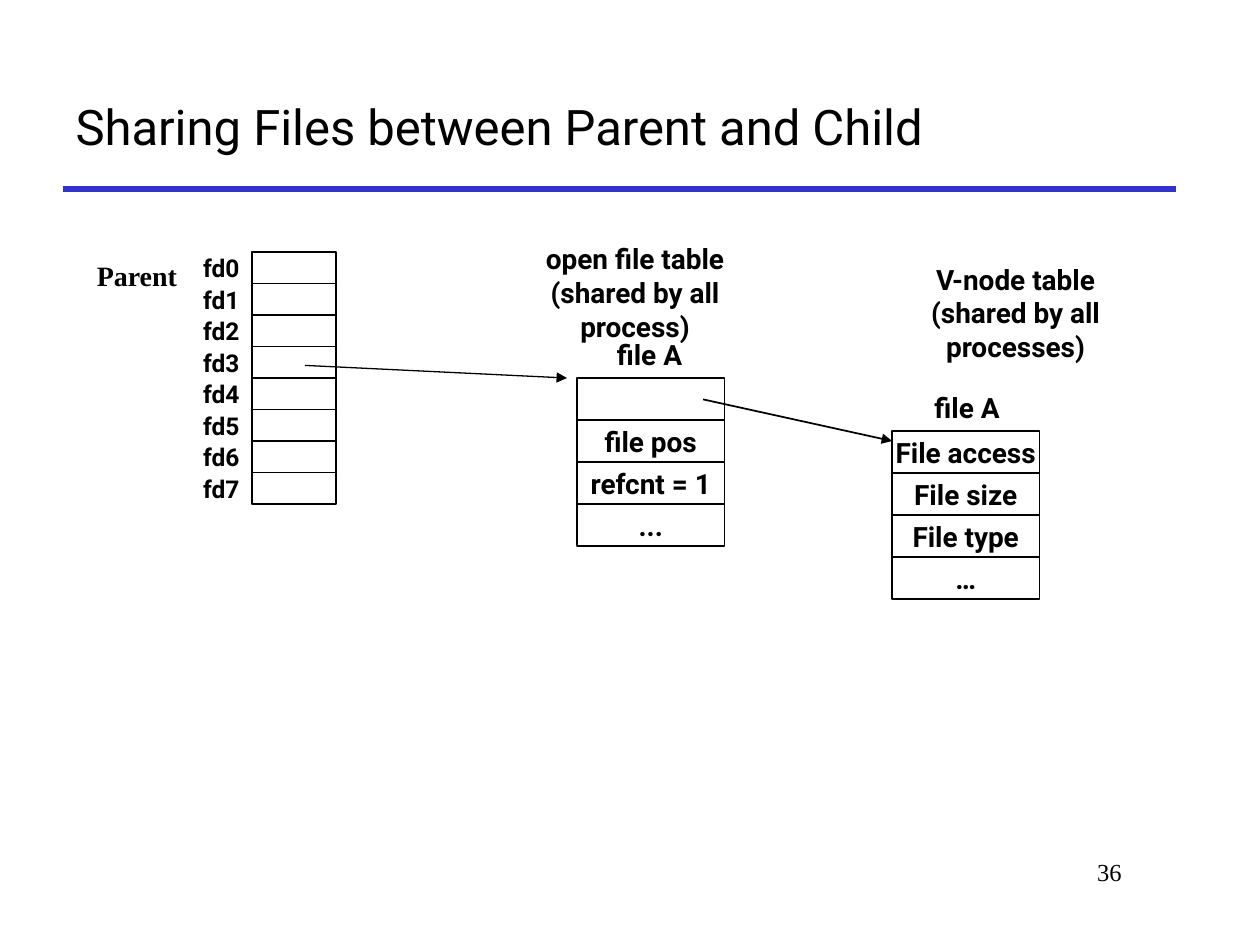
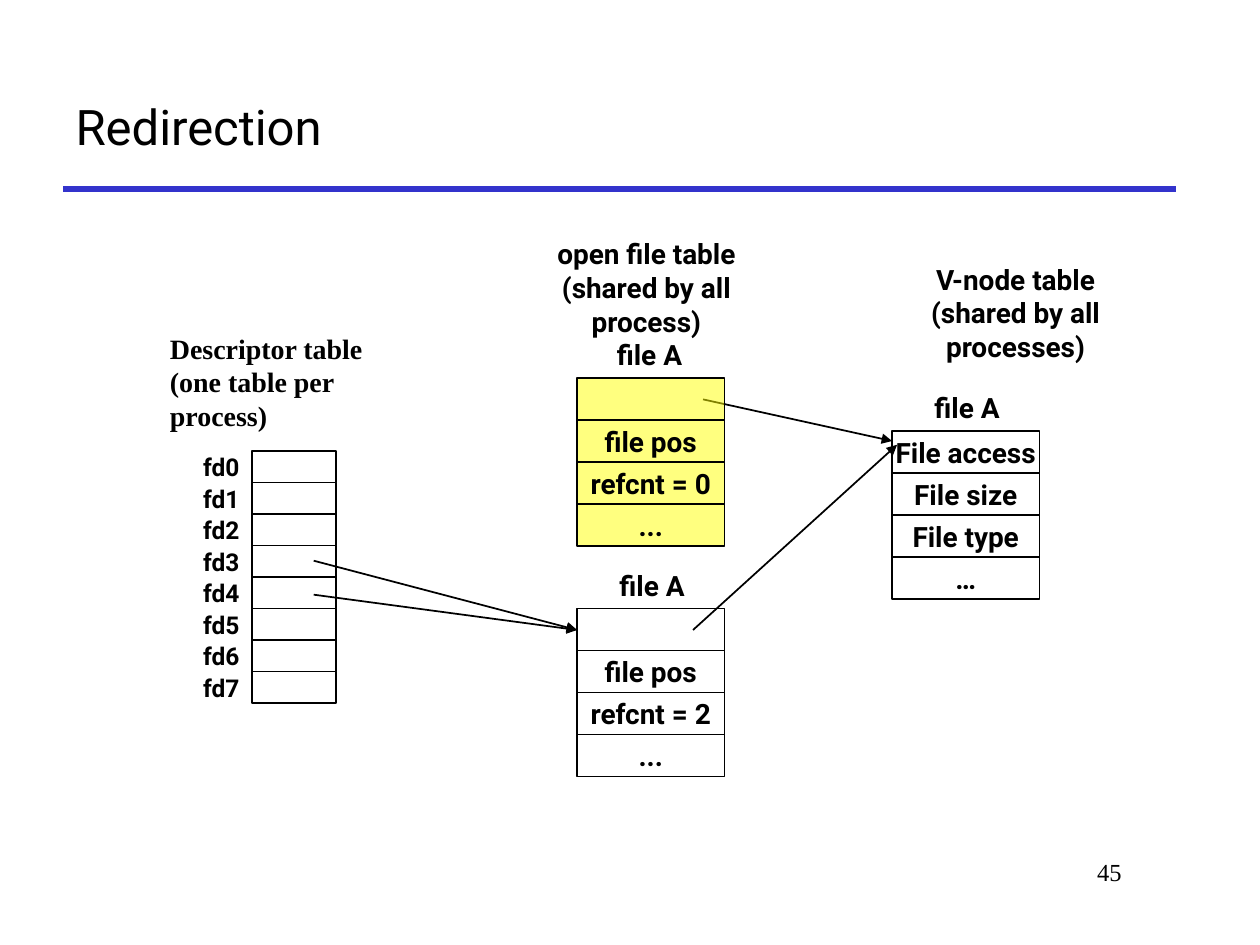
import dataclasses

import pptx
import pptx.dml.color
import pptx.enum.shapes
import pptx.enum.text
import pptx.oxml
import pptx.oxml.ns
import pptx.util

Inches = pptx.util.Inches
Align = pptx.enum.text.PP_ALIGN
Anchor = pptx.enum.text.MSO_ANCHOR


@dataclasses.dataclass(frozen=True)
class Theme:
    ink: str = "000000"
    rule: str = "3333CC"
    stale: str = "FFFF00"
    paper: str = "FFFFFF"
    sans: str = "Roboto"
    serif: str = "Times New Roman"
    title_size: int = 28
    label_size: int = 16
    small_size: int = 14
    fill_opacity: int = 50
    thin: float = 0.75
    line: float = 1
    thick: float = 3


THEME = Theme()
CELL_WIDTH, CELL_HEIGHT = 1.17, 1 / 3
SLOT_WIDTH, SLOT_HEIGHT, SLOT_COUNT = 0.67, 0.25, 8
CAPTION_HEIGHT = 0.37
OPEN_FILE_LEFT, OPEN_FILE_TOP = 4.58, 3
VNODE_LEFT, VNODE_TOP = 7.08, 3.42


def rgb(value):
    return pptx.dml.color.RGBColor.from_string(value)


def add_element(parent, tag, **attributes):
    element = pptx.oxml.parse_xml(f"<a:{tag} {pptx.oxml.ns.nsdecls('a')}/>")
    for name, value in attributes.items():
        element.set(name, value)
    parent.append(element)


def write_text(shape, lines, size=THEME.label_size, font=THEME.sans, bold=True,
               align=Align.CENTER, anchor=Anchor.MIDDLE, wrap=True):
    frame = shape.text_frame
    frame.auto_size = pptx.enum.text.MSO_AUTO_SIZE.NONE
    frame.word_wrap = wrap
    frame.vertical_anchor = anchor
    frame.text = "\n".join(lines)
    for paragraph in frame.paragraphs:
        paragraph.alignment = align
        paragraph.font.name = font
        paragraph.font.size = pptx.util.Pt(size)
        paragraph.font.bold = bold
        paragraph.font.color.rgb = rgb(THEME.ink)


def add_label(slide, left, top, width, height, lines, **style):
    box = slide.shapes.add_textbox(Inches(left), Inches(top), Inches(width), Inches(height))
    write_text(box, lines, **style)


def add_cell(slide, left, top, width, height, text="", fill=None):
    cell = slide.shapes.add_shape(pptx.enum.shapes.MSO_SHAPE.RECTANGLE,
                                  Inches(left), Inches(top), Inches(width), Inches(height))
    cell.shadow.inherit = False
    cell.line.color.rgb = rgb(THEME.ink)
    cell.line.width = pptx.util.Pt(THEME.line)
    if fill:
        cell.fill.solid()
        cell.fill.fore_color.rgb = rgb(fill)
        color = cell.fill._xPr.find(".//" + pptx.oxml.ns.qn("a:srgbClr"))
        add_element(color, "alpha", val=str(THEME.fill_opacity * 1000))
    else:
        cell.fill.background()
    if text:
        write_text(cell, [text], wrap=False)


def add_line(slide, start, end, color=THEME.ink, weight=THEME.line, arrow=True):
    line = slide.shapes.add_connector(pptx.enum.shapes.MSO_CONNECTOR.STRAIGHT,
                                      *map(Inches, start + end))
    line.line.color.rgb = rgb(color)
    line.line.width = pptx.util.Pt(weight)
    if arrow:
        add_element(line.line._get_or_add_ln(), "tailEnd", type="triangle")
    add_element(line._element.spPr, "effectLst")


# Title, rule and page number shared by both slides
def add_diagram_slide(presentation, title_text, number):
    slide = presentation.slides.add_slide(presentation.slide_layouts[5])
    title = slide.shapes.title
    title.left, title.top, title.width, title.height = map(Inches, (0.5, 0.5, 8.83, 1))
    write_text(title, [title_text], size=THEME.title_size, bold=False, align=Align.LEFT)
    add_line(slide, (0.5, 1.5), (9.33, 1.5), THEME.rule, THEME.thick, arrow=False)
    add_label(slide, 7.58, 6.75, 1.42, 0.5, [str(number)], size=THEME.small_size,
              font=THEME.serif, bold=False, align=Align.RIGHT, anchor=Anchor.TOP)
    return slide


# Descriptor slots with their names on the left
def add_descriptor_table(slide, left, top):
    for index in range(SLOT_COUNT):
        slot_top = top + index * SLOT_HEIGHT
        add_cell(slide, left, slot_top, SLOT_WIDTH, SLOT_HEIGHT)
        add_label(slide, left - SLOT_WIDTH, slot_top, SLOT_WIDTH, SLOT_HEIGHT,
                  [f"fd{index}"], size=THEME.small_size, align=Align.RIGHT)


def add_descriptor_heading(slide, left, top, height, text):
    add_label(slide, left, top, 1.75, height, [text], font=THEME.serif,
              align=Align.LEFT, anchor=Anchor.TOP)


# Stack of record fields with the file name above it
def add_record(slide, left, top, fields, caption_offset, fill=None):
    add_label(slide, left + caption_offset, top - CAPTION_HEIGHT, 0.75, CAPTION_HEIGHT,
              ["file A"], wrap=False)
    for index, field in enumerate(fields):
        add_cell(slide, left, top + index * CELL_HEIGHT, CELL_WIDTH, CELL_HEIGHT, field, fill)


def add_open_file(slide, top, reference_count, caption_offset=0.2, fill=None):
    fields = ["", "file pos", f"refcnt = {reference_count}", "..."]
    add_record(slide, OPEN_FILE_LEFT, top, fields, caption_offset, fill)


def add_open_file_heading(slide, left, top):
    add_label(slide, left, top, 2.42, 0.9, ["open file table", "(shared by all process)"])


# V-node record, its heading and the arrow from the upper open file
def add_vnode_table(slide, left, top, fill=None):
    add_label(slide, left + 0.04, top - 1.39, 1.88, 0.9,
              ["V-node table", "(shared by all processes)"])
    add_record(slide, left, top, ["File access", "File size", "File type", "…"], 0.22, fill)
    add_line(slide, (OPEN_FILE_LEFT + 1, OPEN_FILE_TOP + 0.17), (left, top + 0.08))


def build_sharing_slide(presentation):
    slide = add_diagram_slide(presentation, "Sharing Files between Parent and Child", 36)
    add_open_file_heading(slide, 3.83, 1.87)
    add_vnode_table(slide, VNODE_LEFT, VNODE_TOP)
    add_open_file(slide, OPEN_FILE_TOP, 1)
    add_descriptor_heading(slide, 0.67, 2, 0.37, "Parent")
    add_descriptor_table(slide, 2, 2)
    add_line(slide, (2.42, 2.9), (4.5, 3), weight=THEME.thin)


def build_redirection_slide(presentation):
    slide = add_diagram_slide(presentation, "Redirection", 45)
    add_descriptor_heading(slide, 1.25, 2.58, 0.9, "Descriptor table (one table per process)")
    add_descriptor_table(slide, 2, 3.58)
    add_open_file_heading(slide, 3.92, 1.83)
    add_vnode_table(slide, VNODE_LEFT, VNODE_TOP, THEME.paper)

    # Both redirected descriptors reach the lower open file
    for start_top in (4.45, 4.72):
        add_line(slide, (2.49, start_top), (OPEN_FILE_LEFT, 5))
    add_line(slide, (5.5, 5), (7.12, 3.53))
    add_open_file(slide, OPEN_FILE_TOP, 0, fill=THEME.stale)
    add_open_file(slide, 4.83, 2, caption_offset=0.22)


def main():
    presentation = pptx.Presentation()
    presentation.slide_width, presentation.slide_height = Inches(10), Inches(7.5)
    build_sharing_slide(presentation)
    build_redirection_slide(presentation)
    presentation.save("out.pptx")


if __name__ == "__main__":
    main()
